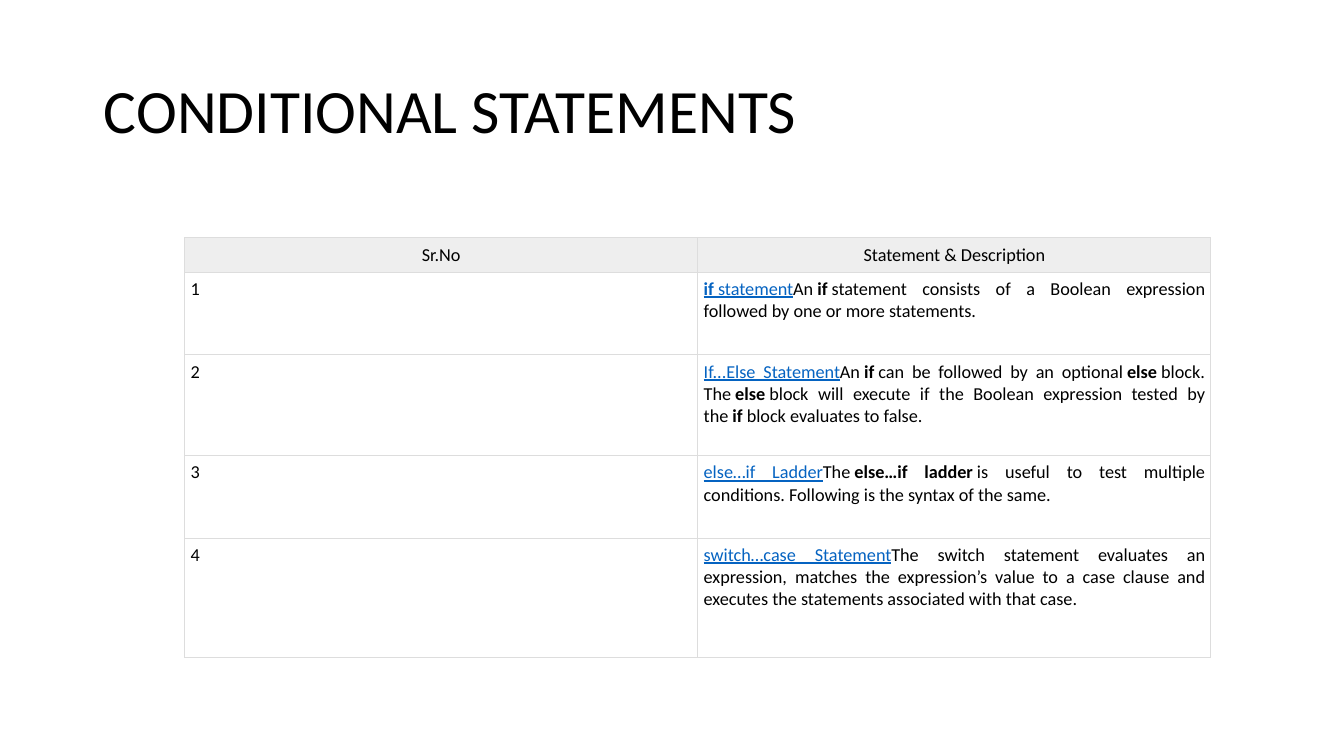
from dataclasses import dataclass

from lxml import etree
from pptx import Presentation
from pptx import util as u
from pptx.dml import color
from pptx.enum import text as t
from pptx.oxml import ns


@dataclass(frozen=True)
class Theme:
    font: str = "Calibri"
    ink: str = "000000"
    link: str = "0563C1"
    header: str = "EEEEEE"
    border: str = "DDDDDD"
    border_width: float = 0.75
    title_size: int = 44
    table_size: int = 13
    inset: float = 0.06


THEME = Theme()
WIDTH, HEIGHT = u.Inches(13.33), u.Inches(7.5)
NBSP = "\u00a0"

# Span styles
PLAIN = {}
BOLD = {"bold": True}
LINK = {"ink": THEME.link, "underline": True}
BOLD_LINK = {**LINK, **BOLD}

HEADINGS = ["Sr.No", "Statement & Description"]
DESCRIPTIONS = [
    [("if", BOLD_LINK), (f"{NBSP}statement", LINK), (f"An{NBSP}", PLAIN), ("if", BOLD),
     (f"{NBSP}statement consists of a Boolean expression followed by one or more statements.", PLAIN)],
    [("If...Else Statement", LINK), (f"An{NBSP}", PLAIN), ("if", BOLD),
     (f"{NBSP}can be followed by an optional{NBSP}", PLAIN), ("else", BOLD),
     (f"{NBSP}block. The{NBSP}", PLAIN), ("else", BOLD),
     (f"{NBSP}block will execute if the Boolean expression tested by the{NBSP}", PLAIN),
     ("if", BOLD), (f"{NBSP}block evaluates to false.", PLAIN)],
    [("else…if Ladder", LINK), (f"The{NBSP}", PLAIN), ("else…if ladder", BOLD),
     (f"{NBSP}is useful to test multiple conditions. Following is the syntax of the same.", PLAIN)],
    [("switch…case Statement", LINK),
     ("The switch statement evaluates an expression, matches the expression’s value to a "
      "case clause and executes the statements associated with that case.", PLAIN)],
]
ROW_HEIGHTS = [0.34, 0.82, 1, 0.82, 1.18]


def share_box(left, top, width, height):
    """Turn shares of the slide into lengths."""
    return int(left * WIDTH), int(top * HEIGHT), int(width * WIDTH), int(height * HEIGHT)


def add_span(para, text, size=THEME.table_size, ink=THEME.ink, bold=False, underline=False):
    span = para.add_run()
    span.text = text
    font = span.font
    font.name, font.size = THEME.font, u.Pt(size)
    font.bold, font.underline = bold, underline
    font.color.rgb = color.RGBColor.from_string(ink)


def add_borders(cell):
    properties = cell._tc.get_or_add_tcPr()
    for position, side in enumerate(("lnL", "lnR", "lnT", "lnB")):
        line = etree.Element(ns.qn(f"a:{side}"), w=str(u.Pt(THEME.border_width)))
        fill = etree.SubElement(line, ns.qn("a:solidFill"))
        etree.SubElement(fill, ns.qn("a:srgbClr"), val=THEME.border)
        properties.insert(position, line)


def fill_cell(cell, spans, align, fill=None):
    cell.margin_left = cell.margin_right = u.Inches(THEME.inset)
    cell.margin_top = cell.margin_bottom = u.Inches(THEME.inset)
    if fill:
        cell.fill.solid()
        cell.fill.fore_color.rgb = color.RGBColor.from_string(fill)
    else:
        cell.fill.background()
    add_borders(cell)
    para = cell.text_frame.paragraphs[0]
    para.alignment = align
    for text, style in spans:
        add_span(para, text, **style)


def add_title(page, box, text):
    frame = page.shapes.add_textbox(*box).text_frame
    frame.word_wrap = True
    frame.vertical_anchor = t.MSO_ANCHOR.MIDDLE
    para = frame.paragraphs[0]
    para.line_spacing = 0.9
    add_span(para, text, size=THEME.title_size)


def add_statement_table(page, box):
    table = page.shapes.add_table(len(ROW_HEIGHTS), len(HEADINGS), *box).table
    table.first_row = table.horz_banding = False
    for row, height in zip(table.rows, ROW_HEIGHTS):
        row.height = int(box[3] * height / sum(ROW_HEIGHTS))
    # Header row
    for column, heading in enumerate(HEADINGS):
        fill_cell(table.cell(0, column), [(heading, PLAIN)], t.PP_ALIGN.CENTER, THEME.header)
    # Numbered statements
    for number, spans in enumerate(DESCRIPTIONS, start=1):
        fill_cell(table.cell(number, 0), [(str(number), PLAIN)], t.PP_ALIGN.LEFT)
        fill_cell(table.cell(number, 1), spans, t.PP_ALIGN.JUSTIFY)


deck = Presentation()
deck.slide_width, deck.slide_height = WIDTH, HEIGHT
page = deck.slides.add_slide(deck.slide_layouts[6])
add_title(page, share_box(0.07, 0.05, 0.86, 0.2), "CONDITIONAL STATEMENTS")
add_statement_table(page, (u.Inches(1.83), u.Inches(2.36), u.Inches(10.18), u.Inches(4.16)))
deck.save("out.pptx")
